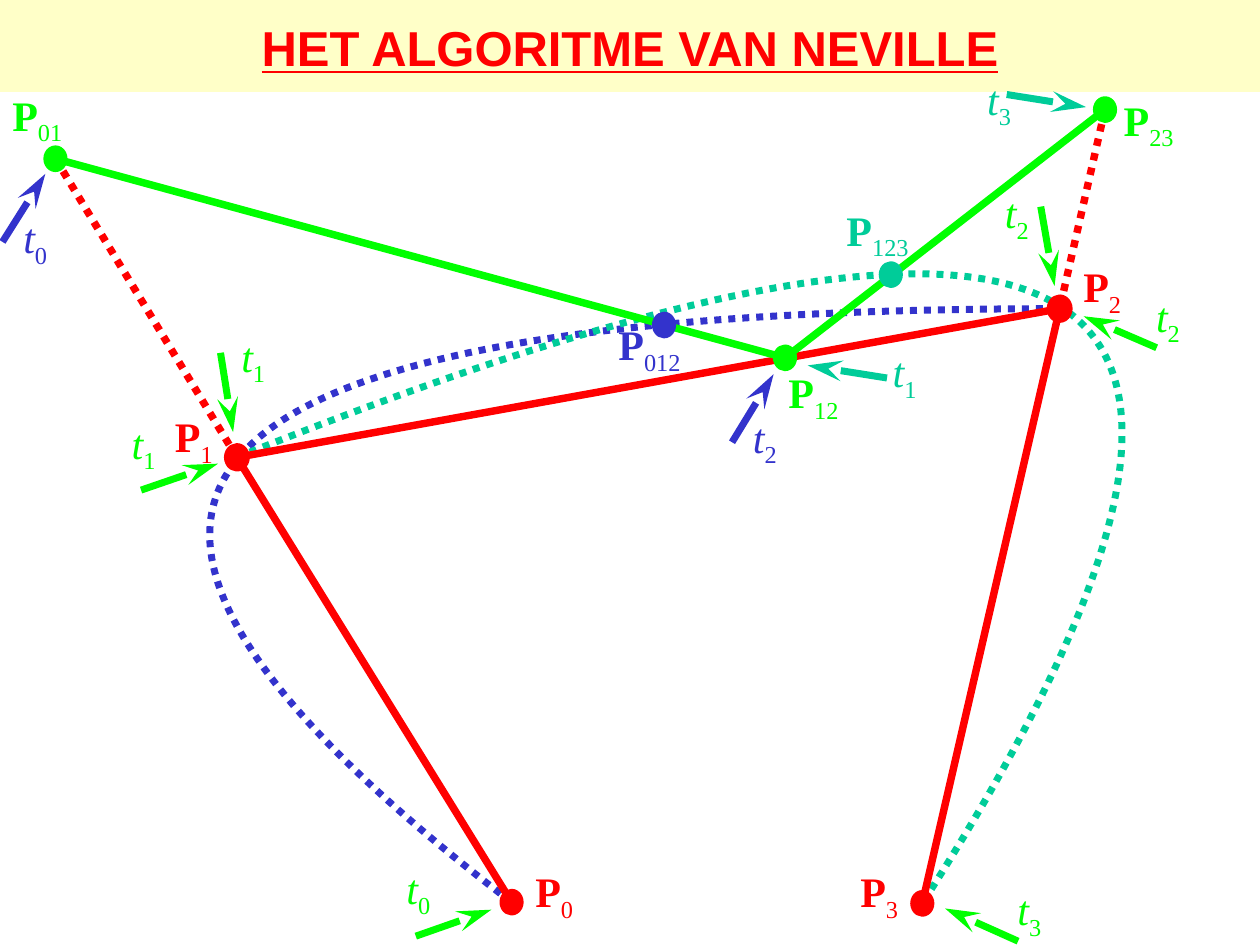
from lxml import etree
from pptx import Presentation
from pptx.dml.color import RGBColor
from pptx.enum.dml import MSO_LINE
from pptx.enum.shapes import MSO_CONNECTOR, MSO_SHAPE
from pptx.enum.text import MSO_ANCHOR, PP_ALIGN
from pptx.oxml.ns import qn
from pptx.util import Inches, Pt

STRAIGHT = MSO_CONNECTOR.STRAIGHT
RECTANGLE, OVAL = MSO_SHAPE.RECTANGLE, MSO_SHAPE.OVAL
DOTTED = MSO_LINE.ROUND_DOT  # sysDot
TOP, MIDDLE = MSO_ANCHOR.TOP, MSO_ANCHOR.MIDDLE
LEFT, CENTER = PP_ALIGN.LEFT, PP_ALIGN.CENTER

COLORS = {"band": "FFFFC8", "red": "FF0000", "green": "00FF00",
          "blue": "3333CC", "teal": "00CC99"}
TITLE = "HET ALGORITME VAN NEVILLE"

# Points: index -> centre, label corner, colour, outline width
POINTS = {
    "0": ((4.06, 7.16), (4.15, 6.82), "red", 3),
    "1": ((1.88, 3.63), (1.29, 3.21), "red", 4),
    "2": ((8.41, 2.45), (8.5, 2.02), "red", 4),
    "3": ((7.32, 7.17), (6.73, 6.82), "red", 3),
    "01": ((0.44, 1.26), (0, 0.66), "green", 3),
    "12": ((6.23, 2.84), (6.16, 2.86), "green", 3),
    "23": ((8.77, 0.87), (8.82, 0.7), "green", 3),
    "012": ((5.27, 2.58), (4.81, 2.48), "blue", 3),
    "123": ((7.07, 2.18), (6.62, 1.57), "teal", 3),
}
# Curves: start point, two control positions, end point, colour
CURVES = [
    ("0", (-0.28, 3.85), (1.34, 2.45), "2", "blue"),
    ("1", (8.79, 0.86), (10.6, 2.04), "3", "teal"),
]
# Segments: start point, end point, colour, dash, line ends
SEGMENTS = [
    ("1", "01", "red", None, {}),
    ("0", "1", "red", None, {"headEnd": "oval"}),
    ("2", "1", "red", None, {}),
    ("23", "2", "red", DOTTED, {}),
    ("2", "3", "red", None, {"tailEnd": "oval"}),
    ("12", "01", "green", None, {}),
    ("12", "23", "green", None, {}),
]
SEGMENTS[0] = ("1", "01", "red", DOTTED, {})
# Parameters: index, label corner, arrow start, arrow tip, colour
PARAMETERS = [
    ("1", (0.94, 3.29), (1.12, 3.89), (1.73, 3.68), "green"),
    ("0", (3.12, 6.82), (3.3, 7.43), (3.9, 7.22), "green"),
    ("1", (1.81, 2.6), (1.75, 2.8), (1.85, 3.43), "green"),
    ("2", (7.87, 1.46), (8.26, 1.64), (8.37, 2.27), "green"),
    ("2", (9.07, 2.28), (9.18, 2.76), (8.6, 2.51), "green"),
    ("3", (7.97, 6.99), (8.08, 7.47), (7.5, 7.21), "green"),
    ("0", (0.08, 1.66), (0.02, 1.92), (0.36, 1.38), "blue"),
    ("2", (5.87, 3.24), (5.81, 3.51), (6.14, 2.97), "blue"),
    ("1", (6.98, 2.72), (7.04, 3), (6.41, 2.9), "teal"),
    ("3", (7.73, 0.56), (7.99, 0.75), (8.62, 0.85), "teal"),
]
DOT_SIZE = (0.15, 0.17)
POINT_LABEL = {"size": (1.4, 0.68), "anchor": TOP, "align": LEFT, "wrap": True}
PARAMETER_LABEL = {"size": (0.4, 0.5), "anchor": MIDDLE, "align": CENTER, "wrap": False}
TITLE_BOX = {"size": (10, 0.75), "anchor": MIDDLE, "align": CENTER, "wrap": True}
TIMES = {"name": "Times New Roman", "size": Pt(24)}
TITLE_FONT = {"name": "Arial", "size": Pt(28), "bold": True, "underline": True}

prs = Presentation()
prs.slide_width, prs.slide_height = Inches(10), Inches(7.5)
shapes = prs.slides.add_slide(prs.slide_layouts[6]).shapes


def rgb(color):
    return RGBColor.from_string(COLORS[color])


def inches(*lengths):
    return [Inches(length) for length in lengths]


def style_line(line, color, width, dash=None):
    line.color.rgb = rgb(color)
    line.width = Pt(width)
    if dash:
        line.dash_style = dash


def add_solid(kind, corner, size, color, outline):
    solid = shapes.add_shape(kind, *inches(*corner, *size))
    solid.shadow.inherit = False
    solid.fill.solid()
    solid.fill.fore_color.rgb = rgb(color)
    if outline:
        style_line(solid.line, color, outline)
    else:
        solid.line.fill.background()


def add_line(start, end, color, width, dash=None, ends=None):
    connector = shapes.add_connector(STRAIGHT, *inches(*start, *end))
    style_line(connector.line, color, width, dash)
    etree.SubElement(connector._element.spPr, qn("a:effectLst"))
    ln = connector.line._get_or_add_ln()
    for tag, kind in (ends or {}).items():
        length = "lg" if kind == "stealth" else "med"
        etree.SubElement(ln, qn(f"a:{tag}"), type=kind, w="med", len=length)


def add_curve(start, control_1, control_2, end, color):
    builder = shapes.build_freeform(*inches(*start))
    builder.add_line_segments([inches(*p) for p in (control_1, control_2, end)], close=False)
    curve = builder.convert_to_shape()
    curve.shadow.inherit = False
    curve.fill.background()
    style_line(curve.line, color, 4, DOTTED)
    # Turn the three straight steps into one cubic Bézier step
    steps = curve._element.xpath(".//a:lnTo")
    outline = steps[0].getparent()
    bezier = etree.SubElement(outline, qn("a:cubicBezTo"))
    for step in steps:
        bezier.append(step[0])
        outline.remove(step)


def add_text(corner, box, color, runs):
    frame = shapes.add_textbox(*inches(*corner, *box["size"])).text_frame
    frame.word_wrap = box["wrap"]
    frame.vertical_anchor = box["anchor"]
    paragraph = frame.paragraphs[0]
    paragraph.alignment = box["align"]
    for text, font_format, baseline in runs:
        run = paragraph.add_run()
        run.text = text
        run.font.color.rgb = rgb(color)
        for attribute, value in font_format.items():
            setattr(run.font, attribute, value)
        if baseline:
            run.font._element.set("baseline", str(baseline))


def add_label(corner, box, color, letter, index, emphasis):
    add_text(corner, box, color, [(letter, TIMES | {emphasis: True}, 0),
                                  (index, TIMES, -25000)])


# Title band
add_solid(RECTANGLE, (0, 0), (10, 0.73), "band", 0)
add_text((0, 0), TITLE_BOX, "red", [(TITLE, TITLE_FONT, 0)])

# Interpolating curves
for start, control_1, control_2, end, color in CURVES:
    add_curve(POINTS[start][0], control_1, control_2, POINTS[end][0], color)

# Segments between points
for start, end, color, dash, ends in SEGMENTS:
    add_line(POINTS[start][0], POINTS[end][0], color, 4.25, dash, ends)

# Points with their labels
for index, (centre, corner, color, outline) in POINTS.items():
    dot_corner = [c - s / 2 for c, s in zip(centre, DOT_SIZE)]
    add_solid(OVAL, dot_corner, DOT_SIZE, color, outline)
    add_label(corner, POINT_LABEL, color, "P", index, "bold")

# Parameter values with their arrows
for index, corner, start, tip, color in PARAMETERS:
    add_line(start, tip, color, 4, ends={"tailEnd": "stealth"})
    add_label(corner, PARAMETER_LABEL, color, "t", index, "italic")

prs.save("out.pptx")
